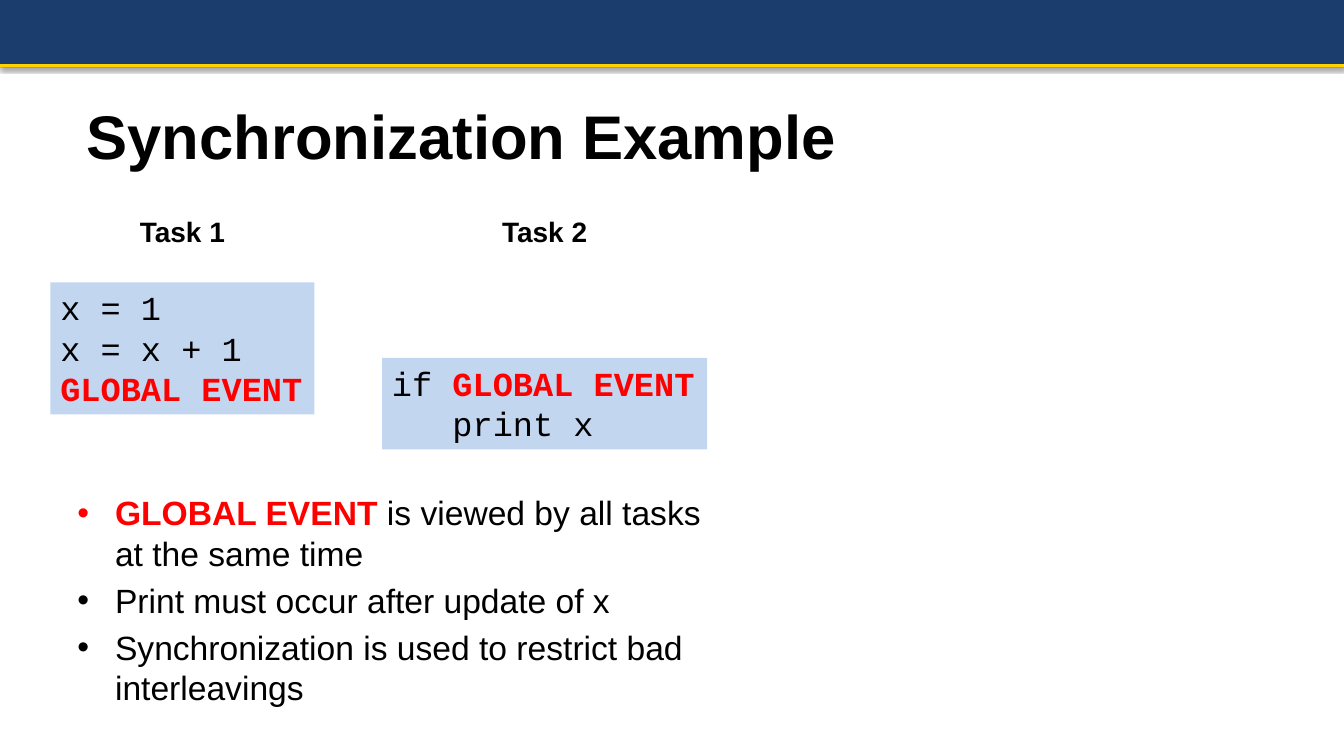
from lxml import etree
from pptx import Presentation
from pptx.dml.color import RGBColor
from pptx.enum import shapes, text
from pptx.oxml import parse_xml
from pptx.oxml import ns
from pptx.util import Pt

NAVY = RGBColor(0x1B, 0x3D, 0x6D)
GOLD = RGBColor(0xFF, 0xD2, 0x00)
PALE_BLUE = RGBColor(0xC3, 0xD6, 0xF0)
RED = RGBColor(0xFF, 0x00, 0x00)
BLACK = RGBColor(0x00, 0x00, 0x00)
EVENT = "GLOBAL EVENT"
SHADOW = (
    f'<a:effectLst {ns.nsdecls("a")}>'
    '<a:outerShdw blurRad="39370" dist="22860" dir="5400000" rotWithShape="0">'
    '<a:srgbClr val="000000"><a:alpha val="35000"/></a:srgbClr>'
    '</a:outerShdw></a:effectLst>'
)


def place(sp, left, top, width, height):
    """Move a shape to a box given in points."""
    sp.left, sp.top, sp.width, sp.height = map(Pt, (left, top, width, height))


def write_lines(tf, lines, font, size, gap=0):
    """Write one paragraph per line, with the event name in bold red."""
    for i, line in enumerate(lines):
        p = tf.paragraphs[0] if i == 0 else tf.add_paragraph()
        p.space_before = Pt(gap if i else 0)
        p.font.name, p.font.size = font, Pt(size)
        p.font.color.rgb = BLACK
        before, event, after = line.partition(EVENT)
        for part in filter(None, (before, event, after)):
            r = p.add_run()
            r.text = part
            if part == EVENT:
                r.font.bold = True
                r.font.color.rgb = RED


def add_header(s, left, top, width, height):
    """Draw the shadowed band with its gold rule."""
    band = s.shapes.add_shape(shapes.MSO_SHAPE.RECTANGLE, Pt(left), Pt(top), Pt(width), Pt(height))
    band.shadow.inherit = False
    band.fill.solid()
    band.fill.fore_color.rgb = NAVY
    band.line.fill.background()
    sp_pr = band._element.spPr
    sp_pr.replace(sp_pr.find(ns.qn("a:effectLst")), parse_xml(SHADOW))
    y = Pt(top + height - 1.2)
    rule = s.shapes.add_connector(shapes.MSO_CONNECTOR.STRAIGHT, Pt(left), y, Pt(left + width), y)
    rule.line.color.rgb = GOLD
    rule.line.width = Pt(2.25)
    etree.SubElement(rule._element.spPr, ns.qn("a:effectLst"))


def add_title(s, left, top, width, height, title):
    """Fill the title placeholder."""
    sp = s.shapes.title
    place(sp, left, top, width, height)
    tf = sp.text_frame
    tf.text = title
    tf.word_wrap = False
    tf.auto_size = text.MSO_AUTO_SIZE.NONE
    tf.vertical_anchor = text.MSO_ANCHOR.MIDDLE
    p = tf.paragraphs[0]
    p.alignment = text.PP_ALIGN.LEFT
    p.font.name, p.font.size, p.font.bold = "Arial", Pt(44), True
    p.font.color.rgb = BLACK


def add_task(s, left, top, width, height, name, code, code_top):
    """Draw a task label centred above its code box."""
    label_width = 84
    label = s.shapes.add_textbox(
        Pt(left + (width - label_width) / 2), Pt(top), Pt(label_width), Pt(31.5))
    tf = label.text_frame
    tf.word_wrap = True
    write_lines(tf, [name], "Arial", 20)
    tf.paragraphs[0].alignment = text.PP_ALIGN.CENTER
    tf.paragraphs[0].font.bold = True
    box = s.shapes.add_textbox(
        Pt(left), Pt(top + code_top), Pt(width), Pt(height - code_top))
    box.fill.solid()
    box.fill.fore_color.rgb = PALE_BLUE
    box.text_frame.word_wrap = False
    write_lines(box.text_frame, code, "Courier New", 24)


def add_points(s, left, top, width, height, points):
    """Fill the body placeholder with the bullet list."""
    sp = s.placeholders[1]
    place(sp, left, top, width, height)
    sp.text_frame.word_wrap = True
    sp.text_frame.auto_size = text.MSO_AUTO_SIZE.NONE
    write_lines(sp.text_frame, points, "Arial", 24, gap=4.8)


def main():
    """Build the slide and save it."""
    prs = Presentation()
    prs.slide_width, prs.slide_height = Pt(960), Pt(540)
    s = prs.slides.add_slide(prs.slide_layouts[1])
    add_header(s, 0, 0, 960, 48)
    add_title(s, 54.7, 66.2, 555.8, 60.5, "Synchronization Example")
    add_points(s, 48, 348, 480, 164, [
        f"{EVENT} is viewed by all tasks at the same time",
        "Print must occur after update of x",
        "Synchronization is used to restrict bad interleavings",
    ])
    add_task(s, 36, 150, 188.6, 146, "Task 1", ["x = 1", "x = x + 1", EVENT], 51.7)
    add_task(s, 272.9, 150, 232.3, 171, "Task 2", [f"if {EVENT}", "   print x"], 105.7)
    prs.save("out.pptx")


if __name__ == "__main__":
    main()
